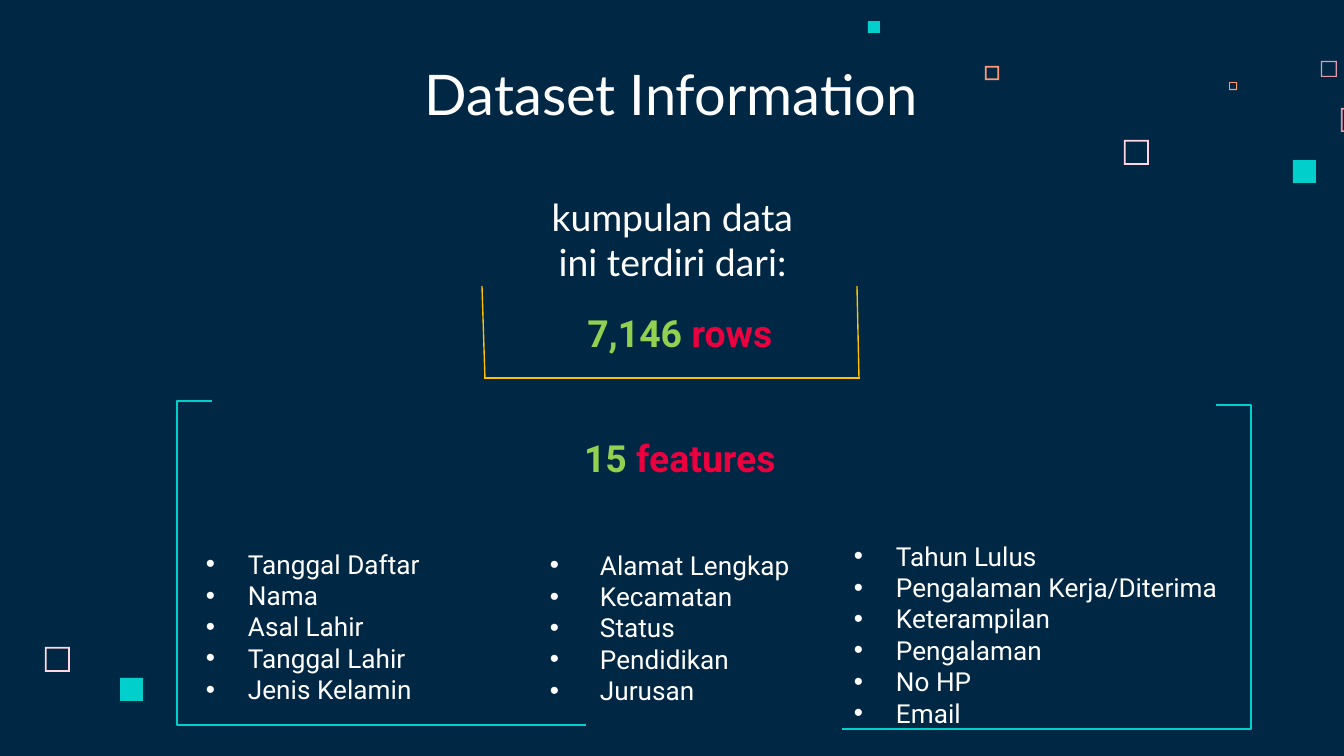
from lxml import etree
from pptx import Presentation
from pptx.dml.color import RGBColor
from pptx.enum.shapes import MSO_CONNECTOR, MSO_SHAPE
from pptx.enum.text import MSO_ANCHOR, PP_ALIGN
from pptx.oxml.ns import qn
from pptx.util import Pt

PX = 914400 / 134.4
STRAIGHT, ELBOW = MSO_CONNECTOR.STRAIGHT, MSO_CONNECTOR.ELBOW
FRAME, RECTANGLE = MSO_SHAPE.FRAME, MSO_SHAPE.RECTANGLE
TOP, BOTTOM = MSO_ANCHOR.TOP, MSO_ANCHOR.BOTTOM
LEFT, CENTER = PP_ALIGN.LEFT, PP_ALIGN.CENTER
COLORS = {
    "navy": "002845", "white": "FFFFFF", "teal": "00CFCC", "orange": "FF9973",
    "pink": "FFD6E1", "rose": "E898AC", "green": "92D050", "red": "EB003F",
    "gold": "FFC000",
}


def add_text(box, paragraphs, font, size, align=CENTER, anchor=TOP,
             bold=False, margin=0, indent=0, bullet=False):
    """Add a text box; each paragraph is a list of (text, color) runs."""
    frame = slide.shapes.add_textbox(*[round(v * PX) for v in box]).text_frame
    frame.word_wrap = True
    frame.vertical_anchor = anchor
    frame.margin_left = frame.margin_right = round(13 * PX)
    frame.margin_top = frame.margin_bottom = round(13 * PX)
    for i, runs in enumerate(paragraphs):
        paragraph = frame.add_paragraph() if i else frame.paragraphs[0]
        paragraph.alignment = align
        properties = paragraph._p.get_or_add_pPr()
        properties.set("marL", str(round(margin * PX)))
        properties.set("indent", str(round(indent * PX)))
        if bullet:
            color = etree.SubElement(properties, qn("a:buClr"))
            etree.SubElement(color, qn("a:srgbClr"), val=COLORS["white"])
            etree.SubElement(properties, qn("a:buFont"), typeface="Arial")
            etree.SubElement(properties, qn("a:buChar"), char="•")
        paragraph.font.name = font
        paragraph.font.size = Pt(size)
        paragraph.font.bold = bold
        for text, color in runs:
            run = paragraph.add_run()
            run.text = text
            run.font.color.rgb = RGBColor.from_string(COLORS[color])


def add_line(shapes, kind, ends, color):
    line = shapes.add_connector(kind, *[round(v * PX) for v in ends])
    line.line.color.rgb = RGBColor.from_string(COLORS[color])
    line.line.width = Pt(0.75)
    etree.SubElement(line._element.spPr, qn("a:effectLst"))
    return line


prs = Presentation()
prs.slide_width, prs.slide_height = round(1344 * PX), round(756 * PX)
slide = prs.slides.add_slide(prs.slide_layouts[6])
slide.background.fill.solid()
slide.background.fill.fore_color.rgb = RGBColor.from_string(COLORS["navy"])

# Scattered squares: shape, left, top, side, color
squares = [
    (FRAME, 1124, 140, 25, "pink"),
    (FRAME, 1321, 61, 16, "rose"),
    (FRAME, 1229, 82, 8, "orange"),
    (FRAME, 1341, 108, 24, "rose"),
    (RECTANGLE, 1293, 160, 23, "teal"),
    (FRAME, 985, 66, 14, "orange"),
    (RECTANGLE, 868, 21, 12, "teal"),
    (FRAME, 45, 647, 25, "pink"),
    (RECTANGLE, 120, 678, 23, "teal"),
]
for kind, left, top, side, color in squares:
    square = slide.shapes.add_shape(
        kind, *[round(v * PX) for v in (left, top, side, side)])
    square.shadow.inherit = False
    square.fill.solid()
    square.fill.fore_color.rgb = RGBColor.from_string(COLORS[color])
    square.line.fill.background()
    if kind == FRAME:
        square.adjustments[0] = 0.12 if side < 15 else 0.07

# Title and introduction
add_text((324, 55, 695, 85), [[("Dataset Information", "white")]],
         "Lato", 30, anchor=BOTTOM)
add_text((534, 202, 277, 95), [[("kumpulan data ini terdiri dari:", "white")]],
         "Lato", 20, anchor=BOTTOM)

# Row and feature counts
for top, count, unit in [(297, "7,146 ", "rows"), (422, "15 ", "features")]:
    add_text((540, top, 263, 95), [[(count, "green"), (unit, "red")]],
             "Roboto", 20, bold=True, margin=67, indent=-50)

# Feature lists: box, text margin, bullet indent, items
feature_lists = [
    ((176, 535, 296, 195), 59, -42,
     ["Tanggal Daftar", "Nama", "Asal Lahir", "Tanggal Lahir", "Jenis Kelamin"]),
    ((520, 536, 306, 192), 67, -50,
     ["Alamat Lengkap", "Kecamatan", "Status", "Pendidikan", "Jurusan"]),
    ((824, 527, 427, 210), 59, -42,
     ["Tahun Lulus", "Pengalaman Kerja/Diterima", "Keterampilan",
      "Pengalaman", "No HP", "Email"]),
]
for box, margin, indent, items in feature_lists:
    add_text(box, [[(item, "white")] for item in items], "Roboto", 14,
             align=LEFT, margin=margin, indent=indent, bullet=True)

# Brackets around the features, bending outside their ends
for ends in [(212, 401, 586, 725), (1216, 405, 842, 729)]:
    bracket = add_line(slide.shapes, ELBOW, ends, "teal")
    geometry = bracket._element.spPr.find(qn("a:prstGeom"))
    guides = geometry.find(qn("a:avLst"))
    if guides is None:
        guides = etree.SubElement(geometry, qn("a:avLst"))
    etree.SubElement(guides, qn("a:gd"), name="adj1", fmla="val -9400")

# Tray under the row count
tray = slide.shapes.add_group_shape()
for ends in [(482, 286, 485, 378), (484, 378, 860, 378), (857, 286, 859, 378)]:
    add_line(tray.shapes, STRAIGHT, ends, "gold")

prs.save("out.pptx")
